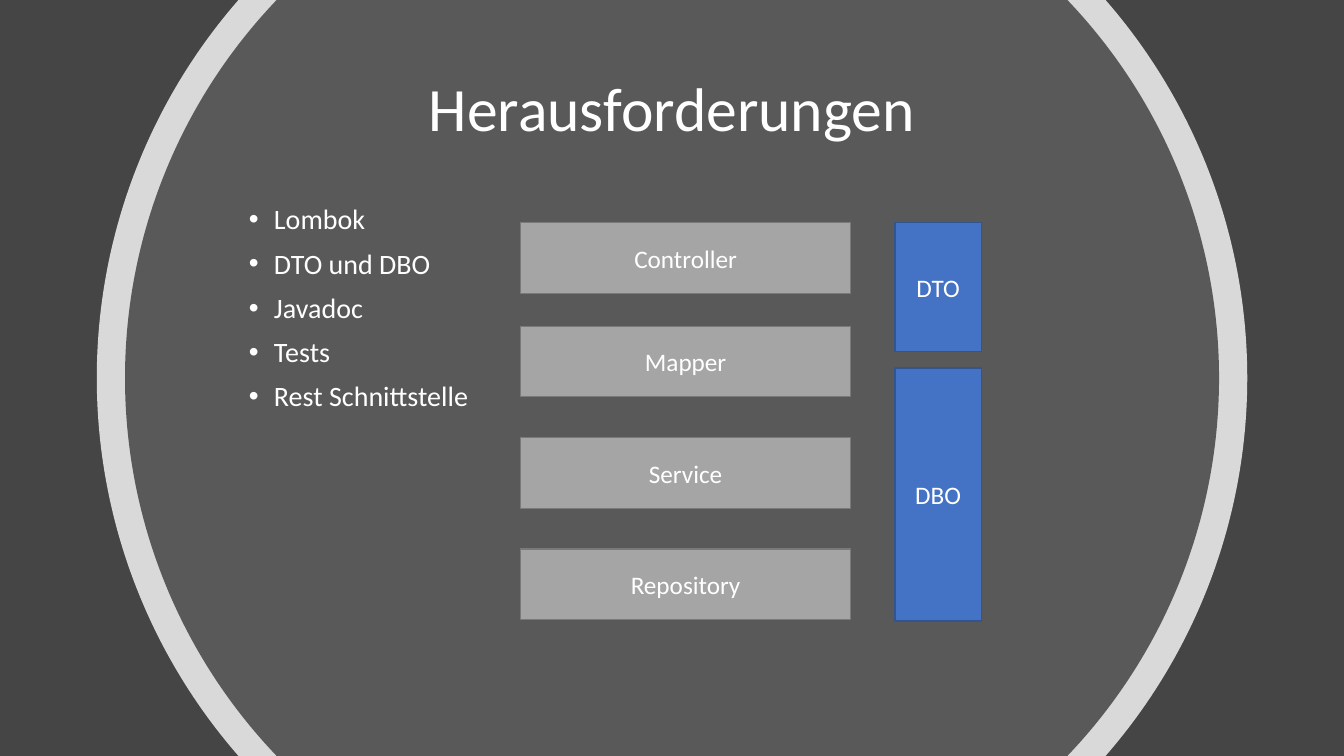
import math
import pptx
import pptx.util
import pptx.dml.color
import pptx.enum.shapes
import pptx.enum.text
import pptx.oxml.ns
import lxml.etree

prs = pptx.Presentation()
prs.slide_width = pptx.util.Inches(13.33)
prs.slide_height = pptx.util.Inches(7.5)
W, H = prs.slide_width, prs.slide_height
s = prs.slides.add_slide(prs.slide_layouts[6])
PP = pptx.enum.text.PP_ALIGN
ANCHOR = pptx.enum.text.MSO_ANCHOR
qn = pptx.oxml.ns.qn


def paint(fill, color):
    fill.solid()
    fill.fore_color.rgb = pptx.dml.color.RGBColor.from_string(color)


def write(text, x, y, w, h, size=18, fill=None, line=None, align=PP.CENTER,
          anchor=ANCHOR.MIDDLE, spacing=None, before=None, bullet=None):
    """Place text, one paragraph per line; x, y, w, h are percent of the slide."""
    box = [round(v * side / 100) for v, side in zip((x, y, w, h), (W, H, W, H))]
    if fill:
        sp = s.shapes.add_shape(pptx.enum.shapes.MSO_SHAPE.RECTANGLE, *box)
        sp.shadow.inherit = False
        paint(sp.fill, fill)
        paint(sp.line.fill, line)
        sp.line.width = pptx.util.Pt(1)
    else:
        sp = s.shapes.add_textbox(*box)
    tf = sp.text_frame
    tf.word_wrap = True
    tf.vertical_anchor = anchor
    for i, words in enumerate(text.split("\n")):
        p = tf.paragraphs[0] if i == 0 else tf.add_paragraph()
        p.alignment = align
        p.line_spacing = spacing
        if before:
            p.space_before = pptx.util.Pt(before)
        if bullet:
            pPr = p._p.get_or_add_pPr()
            indent = pptx.util.Inches(0.25)
            pPr.set("marL", str(indent))
            pPr.set("indent", str(-indent))
            lxml.etree.SubElement(pPr, qn("a:buFont")).set("typeface", "Arial")
            lxml.etree.SubElement(pPr, qn("a:buChar")).set("char", bullet)
        r = p.add_run()
        r.text = words
        r.font.name = "Calibri"
        r.font.size = pptx.util.Pt(size)
        paint(r.font.fill, "FFFFFF")


paint(s.background.fill, "454545")

# Ring and disc: circles around the slide centre, cut at its top and bottom edges.
# Each side is two Bezier arcs; handle is the control distance in radii.
for share, color, alpha in ((0.428, "FFFFFF", 80), (0.407, "595959", 100)):
    radius = share * W
    limit = math.asin(H / 2 / radius)
    handle = 4 / 3 * math.tan(limit / 4)
    points = []
    for side in (0, math.pi):
        for a, turn in ((side - limit, (0, 1)), (side, (-1, 0, 1)), (side + limit, (-1, 0))):
            for t in turn:
                dx = math.cos(a) - t * handle * math.sin(a)
                dy = math.sin(a) + t * handle * math.cos(a)
                points.append((round(W / 2 + radius * dx), round(H / 2 + radius * dy)))
    builder = s.shapes.build_freeform(*points[0])
    builder.add_line_segments(points[1:], close=True)
    sp = builder.convert_to_shape()
    lines = list(sp._element.spPr.iter(qn("a:lnTo")))
    for first in (0, 3, 7, 10):
        curve = lxml.etree.Element(qn("a:cubicBezTo"))
        lines[first].addprevious(curve)
        for ln in lines[first:first + 3]:
            curve.append(ln[0])
            ln.getparent().remove(ln)
    sp.shadow.inherit = False
    sp.line.fill.background()
    paint(sp.fill, color)
    if alpha < 100:
        clr = sp._element.spPr.find(".//" + qn("a:srgbClr"))
        lxml.etree.SubElement(clr, qn("a:alpha")).set("val", str(alpha * 1000))

write("Herausforderungen", 18.95, 5.33, 62.12, 18.8, size=44, spacing=0.9)
write("Lombok\nDTO und DBO\nJavadoc\nTests\nRest Schnittstelle",
      17.77, 26.55, 18.9, 58.67, size=20, align=PP.LEFT, anchor=ANCHOR.TOP,
      spacing=0.9, before=10, bullet="•")

for layer, top in (("Controller", 29.47), ("Mapper", 43.15),
                   ("Service", 57.9), ("Repository", 72.62)):
    write(layer, 38.75, top, 24.53, 9.33, fill="A5A5A5", line="7A7A7A")

for kind, top, height in (("DTO", 29.47, 17.07), ("DBO", 48.67, 33.47)):
    write(kind, 66.58, top, 6.45, height, fill="4472C4", line="325491")

prs.save("out.pptx")
